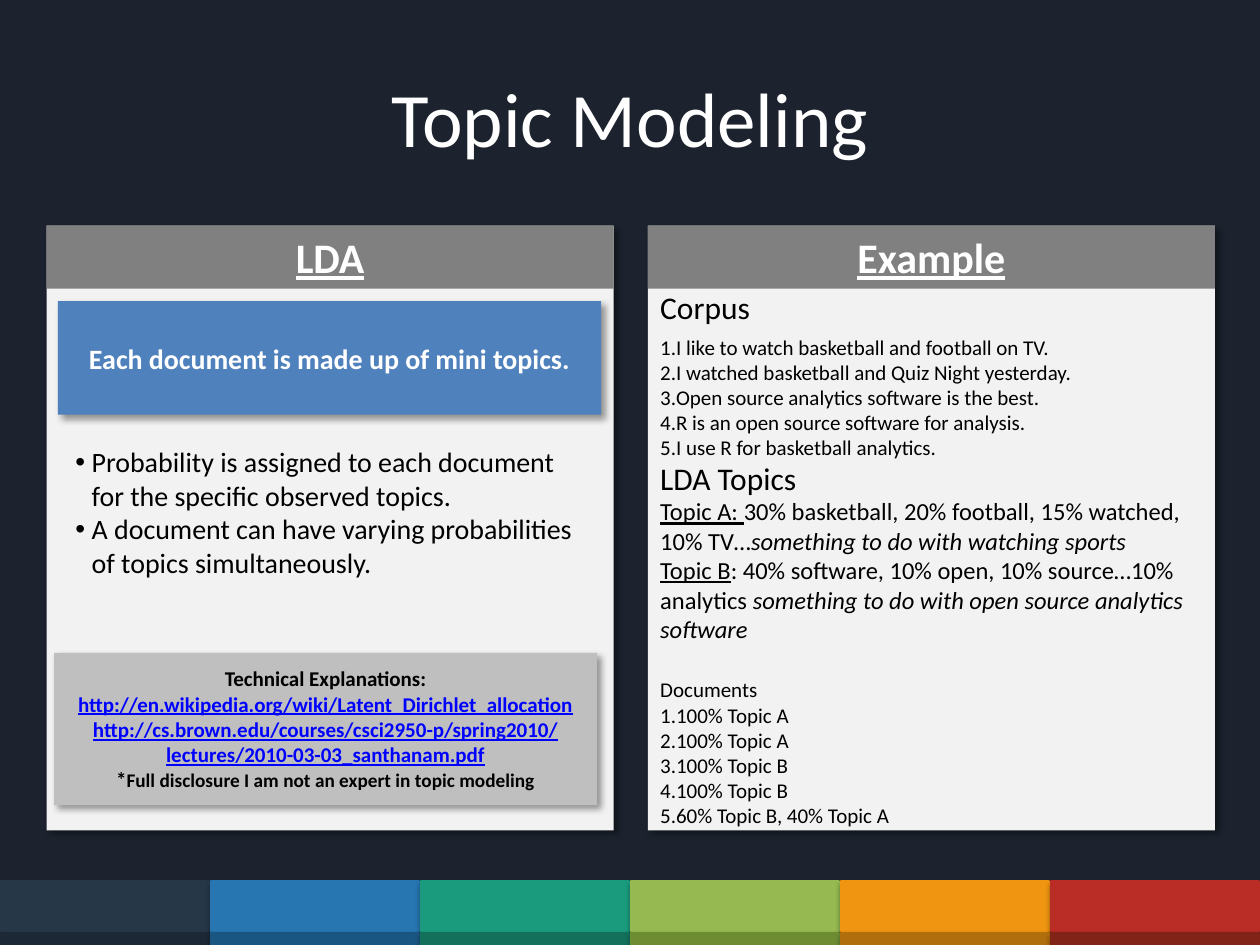
from lxml.etree import SubElement
from pptx import Presentation
from pptx.dml.color import RGBColor
from pptx.enum.shapes import MSO_SHAPE
from pptx.enum.text import MSO_ANCHOR, PP_ALIGN
from pptx.oxml.ns import qn
from pptx.util import Cm, Pt

TILES = [("263748", "1C2835"), ("2776B2", "1A5682"), ("1B9B7D", "13705B"),
         ("96BA51", "6E8D33"), ("F09511", "B16E0C"), ("BA2D27", "812417")]
PANEL_W, PANEL_H, HEADER_H = 11.43, 12.19, 1.27
SOFT = dict(alpha=40, blur=4, dist=3, angle=45)
TILE_SHADOW = dict(alpha=35, blur=3.1, dist=1.8, angle=90)


def rgb(color):
    return RGBColor.from_string(color)


def add_mark(p, mark, indent):
    pPr = p._p.get_or_add_pPr()
    pPr.set("marL", str(Cm(indent)))
    pPr.set("indent", str(-Cm(indent)))
    if mark == "1.":
        SubElement(pPr, qn("a:buAutoNum"), type="arabicPeriod")
    else:
        SubElement(pPr, qn("a:buFont"), typeface="Arial")
        SubElement(pPr, qn("a:buChar"), char=mark)


def write(tf, paragraphs, size=12, color="000000", bold=False, underline=False,
          align=PP_ALIGN.LEFT, anchor=MSO_ANCHOR.TOP, mark=None, indent=0.3, plain=0):
    tf.word_wrap = True
    tf.vertical_anchor = anchor
    for i, runs in enumerate(paragraphs):
        p = tf.paragraphs[0] if i == 0 else tf.add_paragraph()
        p.alignment = align
        if mark and i >= plain:
            add_mark(p, mark, indent)
        for text, fmt in [(runs, {})] if isinstance(runs, str) else runs:
            r = p.add_run()
            r.text = text
            f = r.font
            f.name = "Calibri"
            f.size = Pt(fmt.get("size", size))
            f.bold = bold
            f.italic = fmt.get("italic", False)
            f.underline = fmt.get("underline", underline)
            f.color.rgb = rgb(fmt.get("color", color))


def add_text(s, x, y, w, h, paragraphs, **fmt):
    sp = s.shapes.add_textbox(Cm(x), Cm(y), Cm(w), Cm(h))
    write(sp.text_frame, paragraphs, **fmt)


def add_rect(s, x, y, w, h, fill, shadow=None, line=None, paragraphs=(), **fmt):
    sp = s.shapes.add_shape(MSO_SHAPE.RECTANGLE, Cm(x), Cm(y), Cm(w), Cm(h))
    sp.fill.solid()
    sp.fill.fore_color.rgb = rgb(fill)
    if line:
        sp.line.color.rgb = rgb(line)
        sp.line.width = Pt(0.75)
    else:
        sp.line.fill.background()
    sp.shadow.inherit = False
    if shadow:
        effects = sp._element.spPr.find(qn("a:effectLst"))
        outer = SubElement(effects, qn("a:outerShdw"), blurRad=str(Pt(shadow["blur"])),
                           dist=str(Pt(shadow["dist"])), dir=str(shadow["angle"] * 60000),
                           rotWithShape="0")
        black = SubElement(outer, qn("a:srgbClr"), val="000000")
        SubElement(black, qn("a:alpha"), val=str(shadow["alpha"] * 1000))
    write(sp.text_frame, paragraphs, align=PP_ALIGN.CENTER, anchor=MSO_ANCHOR.MIDDLE, **fmt)


def add_footer(s, x, y, w):
    pitch = w / len(TILES)
    for row, (top, h) in enumerate([(0, 1.02), (1.04, 0.25)]):
        for i, colors in enumerate(TILES):
            add_rect(s, x + i * pitch + 0.02, y + top, pitch - 0.04, h, colors[row],
                     TILE_SHADOW, line=colors[row])


def add_panel(s, x, y, heading):
    add_rect(s, x, y, PANEL_W, PANEL_H, "F2F2F2", SOFT)
    add_rect(s, x, y, PANEL_W, HEADER_H, "808080", paragraphs=[heading],
             size=24, color="FFFFFF", bold=True, underline=True)


def add_lda(s, x, y):
    add_panel(s, x, y, "LDA")
    add_text(s, x + 0.33, y + 4.29, 10.77, 3.68, [
        "Probability is assigned to each document for the specific observed topics.",
        "A document can have varying probabilities of topics simultaneously.",
    ], size=16, mark="•", indent=0.33)
    add_rect(s, x + 0.23, y + 1.52, 10.95, 2.29, "4F81BD", SOFT,
             paragraphs=["Each document is made up of mini topics."],
             size=16, color="FFFFFF", bold=True)
    link = dict(color="0000FF", underline=True)
    add_rect(s, x + 0.15, y + 8.61, 10.95, 3.07, "BFBFBF", SOFT, paragraphs=[
        "Technical Explanations:",
        [("http://en.wikipedia.org/wiki/Latent_Dirichlet_allocation", link)],
        [("http://cs.brown.edu/courses/csci2950-p/spring2010/"
          "lectures/2010-03-03_santhanam.pdf", link)],
        [("*", {}), ("Full disclosure I am not an expert in topic modeling", dict(size=11))],
    ], bold=True)


def add_example(s, x, y):
    add_panel(s, x, y, "Example")
    add_text(s, x, y + 2.06, 11.38, 2.82, [
        "I like to watch basketball and football on TV.",
        "I watched basketball and Quiz Night yesterday.",
        "Open source analytics software is the best.",
        "R is an open source software for analysis.",
        "I use R for basketball analytics.",
    ], mark="1.")
    under, italic = dict(underline=True), dict(italic=True)
    add_text(s, x, y + 5.33, PANEL_W, 4.45, [
        [("Topic A: ", under),
         ("30% basketball, 20% football, 15% watched, 10% TV…", {}),
         ("something to do with watching sports", italic)],
        [("Topic B", under),
         (": 40% software, 10% open, 10% source…10% analytics ", {}),
         ("something to do with open source analytics software", italic)],
    ], size=14)
    add_text(s, x, y + 1.14, 2.59, 1.02, ["Corpus"], size=18)
    add_text(s, x, y + 4.57, 3.71, 1.02, ["LDA Topics"], size=18)
    shares = ["100% Topic A"] * 2 + ["100% Topic B"] * 2 + ["60% Topic B, 40% Topic A"]
    add_text(s, x, y + 8.97, PANEL_W, 3.33, ["Documents"] + shares, mark="1.", plain=1)


def main():
    prs = Presentation()
    prs.slide_width, prs.slide_height = Cm(25.4), Cm(19.05)
    s = prs.slides.add_slide(prs.slide_layouts[6])
    s.background.fill.solid()
    s.background.fill.fore_color.rgb = rgb("1C232E")
    add_footer(s, 0, 17.76, 25.4)
    add_text(s, 1.27, 0.76, 22.86, 3.18, ["Topic Modeling"], size=44, color="FFFFFF",
             align=PP_ALIGN.CENTER, anchor=MSO_ANCHOR.MIDDLE)
    add_example(s, 13.06, 4.55)
    add_lda(s, 0.94, 4.55)
    prs.save("out.pptx")


if __name__ == "__main__":
    main()
